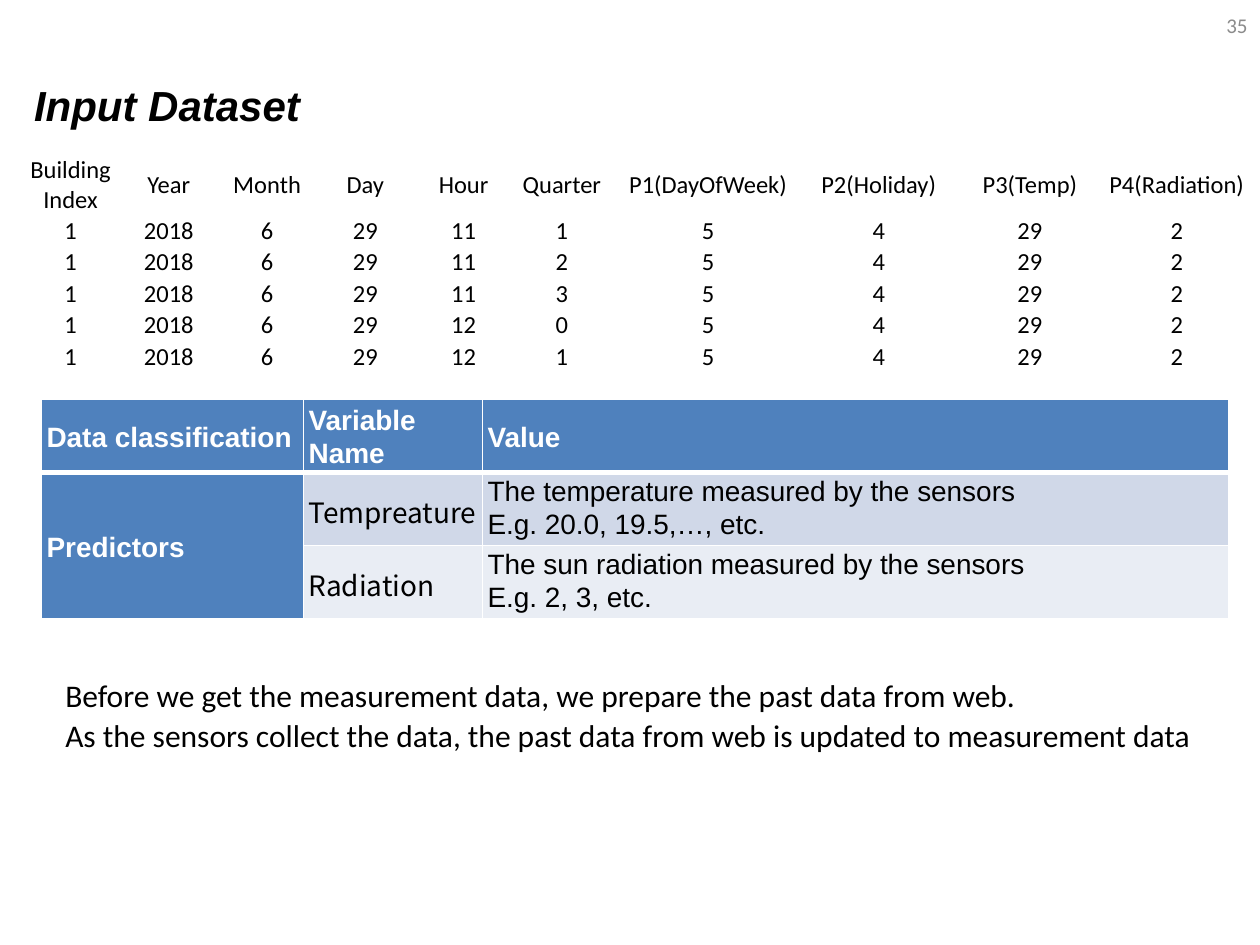
from lxml.etree import SubElement
from pptx import Presentation
from pptx.dml.color import RGBColor
from pptx.enum.text import MSO_ANCHOR as ANC, PP_ALIGN as AL
from pptx.oxml.ns import qn
from pptx.util import Inches, Pt


def rgb(h):
    return RGBColor.from_string(h)


def write(tf, text, align, color, spacing=1.0, **font):
    for i, line in enumerate(text.split("\n")):
        p = tf.paragraphs[0] if i == 0 else tf.add_paragraph()
        p.alignment, p.line_spacing = align, spacing
        r = p.add_run()
        r.text = line
        for name, value in font.items():
            setattr(r.font, name, value)
        r.font.color.rgb = rgb(color)


prs = Presentation()
prs.slide_width, prs.slide_height = Inches(10), Inches(7.5)
s = prs.slides.add_slide(prs.slide_layouts[5])

title = s.shapes.title
title.left, title.top, title.width, title.height = map(Inches, (0.17, 0.58, 9.75, 0.5))
title.text_frame.vertical_anchor = ANC.TOP
write(title.text_frame, "Input Dataset", AL.LEFT, "000000",
      size=Pt(24), name="Arial", bold=True, italic=True)

texts = [
    ((7.67, 0, 2.33, 0.4), "35", AL.RIGHT, "8C8C8C", 1.0, 12),
    ((0.42, 5.3, 9.33, 0.73),
     "Before we get the measurement data, we prepare the past data from web.\n"
     "As the sensors collect the data, the past data from web is updated to measurement data",
     AL.JUSTIFY, "000000", 1.07, 18),
]
for box, text, align, color, spacing, size in texts:
    tf = s.shapes.add_textbox(*map(Inches, box)).text_frame
    tf.word_wrap = True
    tf.vertical_anchor = ANC.MIDDLE
    write(tf, text, align, color, spacing, size=Pt(size), name="Calibri")

header = ["Building\nIndex", "Year", "Month", "Day", "Hour", "Quarter",
          "P1(DayOfWeek)", "P2(Holiday)", "P3(Temp)", "P4(Radiation)"]
times = [(11, 1), (11, 2), (11, 3), (12, 0), (12, 1)]
dataset = [header] + [[1, 2018, 6, 29, hour, quarter, 5, 4, 29, 2] for hour, quarter in times]
variables = [
    ["Data classification", "Variable Name", "Value"],
    ["Predictors", "Tempreature",
     "The temperature measured by the sensors\nE.g. 20.0, 19.5,…, etc."],
    ["", "Radiation", "The sun radiation measured by the sensors\nE.g. 2, 3, etc."],
]
tables = [
    (dataset, (0.17, 1.22, 9.75, 1.73), [0.78] * 6 + [1.54, 1.17, 1.23, 1.1],
     [0.48] + [0.25] * 5, 0.01),
    (variables, (0.33, 3.17, 9.42, 1.72), [2.08, 1.42, 5.92], [0.56, 0.58, 0.58], 0.04),
]
grids = []
for rows, box, widths, heights, inset in tables:
    tbl = s.shapes.add_table(len(rows), len(widths), *map(Inches, box)).table
    tbl.first_row = tbl.horz_banding = False
    for col, w in zip(tbl.columns, widths):
        col.width = Inches(w)
    for row, h in zip(tbl.rows, heights):
        row.height = Inches(h)
    margins = {"margin_left": Inches(inset), "margin_right": Inches(inset),
               "margin_top": Inches(0.01), "margin_bottom": 0,
               "vertical_anchor": ANC.MIDDLE}
    for cell in tbl.iter_cells():
        for name, value in margins.items():
            setattr(cell, name, value)
    grids.append(tbl)
data_tbl, var_tbl = grids

for i, row in enumerate(dataset):
    for j, value in enumerate(row):
        cell = data_tbl.cell(i, j)
        cell.fill.background()
        write(cell.text_frame, str(value), AL.CENTER, "000000", size=Pt(14), name="Calibri")

var_tbl.cell(1, 0).merge(var_tbl.cell(2, 0))
bands = ["4F81BD", "D0D8E8", "E9EDF4"]
for i, row in enumerate(variables):
    for j, text in enumerate(row):
        cell = var_tbl.cell(i, j)
        head = i == 0 or j == 0
        thick = {0: "lnB", 1: "lnT"}.get(i)
        for side in ("lnL", "lnR", "lnT", "lnB"):
            width = Pt(3 if side == thick else 1)
            ln = SubElement(cell._tc.get_or_add_tcPr(), qn("a:" + side), w=str(width))
            SubElement(SubElement(ln, qn("a:solidFill")), qn("a:srgbClr"), val="FFFFFF")
        cell.fill.solid()
        cell.fill.fore_color.rgb = rgb(bands[0] if head else bands[i])
        if j == 2 and not head:
            cell.vertical_anchor = ANC.TOP
        if text:
            write(cell.text_frame, text, AL.JUSTIFY, "FFFFFF" if head else "000000", 1.07,
                  size=Pt(16), bold=head,
                  name="Noto Sans CJK JP" if j == 1 and not head else "Arial")

prs.save("out.pptx")
